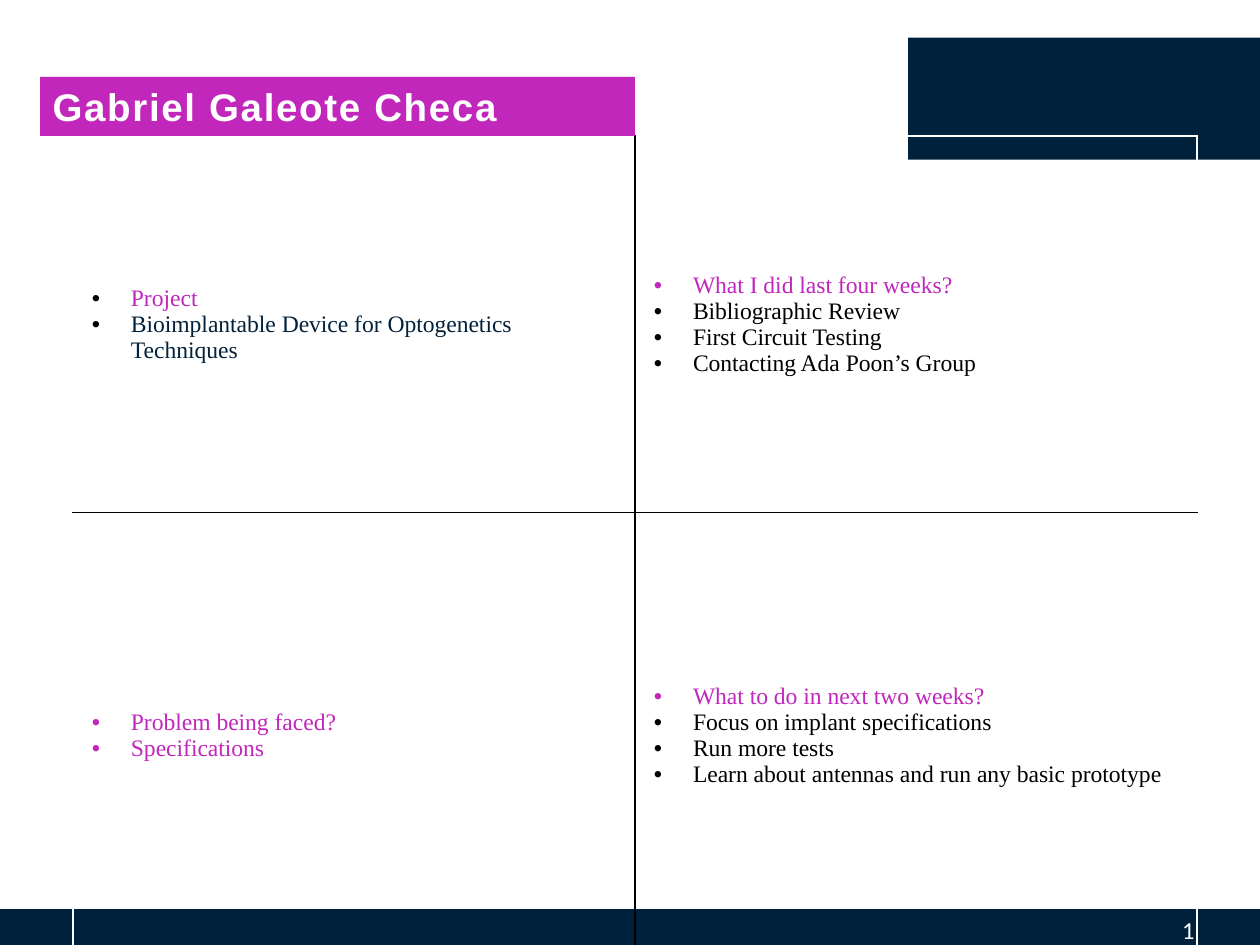
from lxml import etree
from pptx import Presentation
from pptx import util as u
from pptx.dml.color import RGBColor
from pptx.enum import shapes, text
from pptx.oxml import ns

NAVY = RGBColor(0x00, 0x21, 0x3B)
TOPIC_NAVY = RGBColor(0x03, 0x21, 0x3B)
MAGENTA = RGBColor(0xC1, 0x27, 0xBB)
BLACK = RGBColor(0x00, 0x00, 0x00)
WHITE = RGBColor(0xFF, 0xFF, 0xFF)

# Each quadrant lists (wording, text colour, bullet colour)
QUADRANTS = [
    [
        [("Project", MAGENTA, BLACK),
         ("Bioimplantable Device for Optogenetics Techniques", TOPIC_NAVY, BLACK)],
        [("What I did last four weeks?", MAGENTA, MAGENTA),
         ("Bibliographic Review", BLACK, BLACK),
         ("First Circuit Testing", BLACK, BLACK),
         ("Contacting Ada Poon’s Group", BLACK, BLACK)],
    ],
    [
        [("Problem being faced?", MAGENTA, MAGENTA),
         ("Specifications", MAGENTA, MAGENTA)],
        [("What to do in next two weeks?", MAGENTA, MAGENTA),
         ("Focus on implant specifications", BLACK, BLACK),
         ("Run more tests", BLACK, BLACK),
         ("Learn about antennas and run any basic prototype", BLACK, BLACK)],
    ],
]


def add_span(para, words, font, size, color, bold=False):
    span = para.add_run()
    span.text = words
    span.font.name = font
    span.font.size = u.Pt(size)
    span.font.bold = bold
    span.font.color.rgb = color
    return span


def add_block(page, left, top, width, height, color):
    block = page.shapes.add_shape(
        shapes.MSO_SHAPE.RECTANGLE, u.Cm(left), u.Cm(top), u.Cm(width), u.Cm(height))
    block.shadow.inherit = False
    block.fill.solid()
    block.fill.fore_color.rgb = color
    block.line.fill.background()
    return block


def add_title(page, words):
    box = add_block(page, 0.81, 1.55, 11.99, 1.19, MAGENTA)
    box.text_frame.vertical_anchor = text.MSO_ANCHOR.MIDDLE
    para = box.text_frame.paragraphs[0]
    para.alignment = text.PP_ALIGN.LEFT
    span = add_span(para, words, "Arial", 22, WHITE, bold=True)
    span.font._element.set("spc", "100")


def add_page_number(page, number):
    box = page.shapes.add_textbox(u.Cm(19.05), u.Cm(18.34), u.Cm(5.28), u.Cm(0.79))
    box.text_frame.word_wrap = True
    box.text_frame.vertical_anchor = text.MSO_ANCHOR.MIDDLE
    para = box.text_frame.paragraphs[0]
    para.alignment = text.PP_ALIGN.RIGHT
    add_span(para, number, "Calibri", 14, WHITE)


def set_bullet(para, color):
    props = para._p.get_or_add_pPr()
    props.set("marL", str(u.Cm(0.79)))
    props.set("indent", str(-u.Cm(0.79)))
    shade = etree.SubElement(props, ns.qn("a:buClr"))
    etree.SubElement(shade, ns.qn("a:srgbClr"), val=str(color))
    etree.SubElement(props, ns.qn("a:buFont"), typeface="Arial")
    etree.SubElement(props, ns.qn("a:buChar"), char="•")


def set_borders(cell, colors):
    props = cell._tc.get_or_add_tcPr()
    for position, (side, color) in enumerate(colors.items()):
        line = etree.Element(ns.qn(f"a:ln{side}"), w=str(u.Pt(1)))
        fill = etree.SubElement(line, ns.qn("a:solidFill"))
        etree.SubElement(fill, ns.qn("a:srgbClr"), val=str(color))
        props.insert(position, line)


def fill_cell(cell, items):
    cell.fill.background()
    cell.vertical_anchor = text.MSO_ANCHOR.MIDDLE
    cell.margin_left = cell.margin_right = u.Cm(0.38)
    cell.margin_top = cell.margin_bottom = u.Cm(0.38)
    frame = cell.text_frame
    for index, (words, color, bullet_color) in enumerate(items):
        para = frame.add_paragraph() if index else frame.paragraphs[0]
        set_bullet(para, bullet_color)
        add_span(para, words, "Times New Roman", 13.5, color)


def add_quadrants(page):
    frame = page.shapes.add_table(2, 2, u.Cm(1.47), u.Cm(2.74), u.Cm(22.66), u.Cm(16.58))
    table = frame.table
    table.first_row = table.horz_banding = False
    for row, height in zip(table.rows, (7.59, 8.99)):
        row.height = u.Cm(height)
    for r, row_items in enumerate(QUADRANTS):
        for c, items in enumerate(row_items):
            cell = table.cell(r, c)
            fill_cell(cell, items)
            # Inner edges are black, outer edges white
            set_borders(cell, {
                "L": BLACK if c else WHITE,
                "R": WHITE if c else BLACK,
                "T": BLACK if r else WHITE,
                "B": WHITE if r else BLACK,
            })


def main():
    deck = Presentation()
    deck.slide_width, deck.slide_height = u.Cm(25.4), u.Cm(19.05)
    page = deck.slides.add_slide(deck.slide_layouts[6])

    # Corner block and footer band
    add_block(page, 18.31, 0.76, 7.09, 2.46, NAVY)
    add_block(page, 0, 18.33, 25.5, 0.79, NAVY)
    add_page_number(page, "1")

    # Status grid and name banner
    add_quadrants(page)
    add_title(page, "Gabriel Galeote Checa")

    deck.save("out.pptx")


if __name__ == "__main__":
    main()
